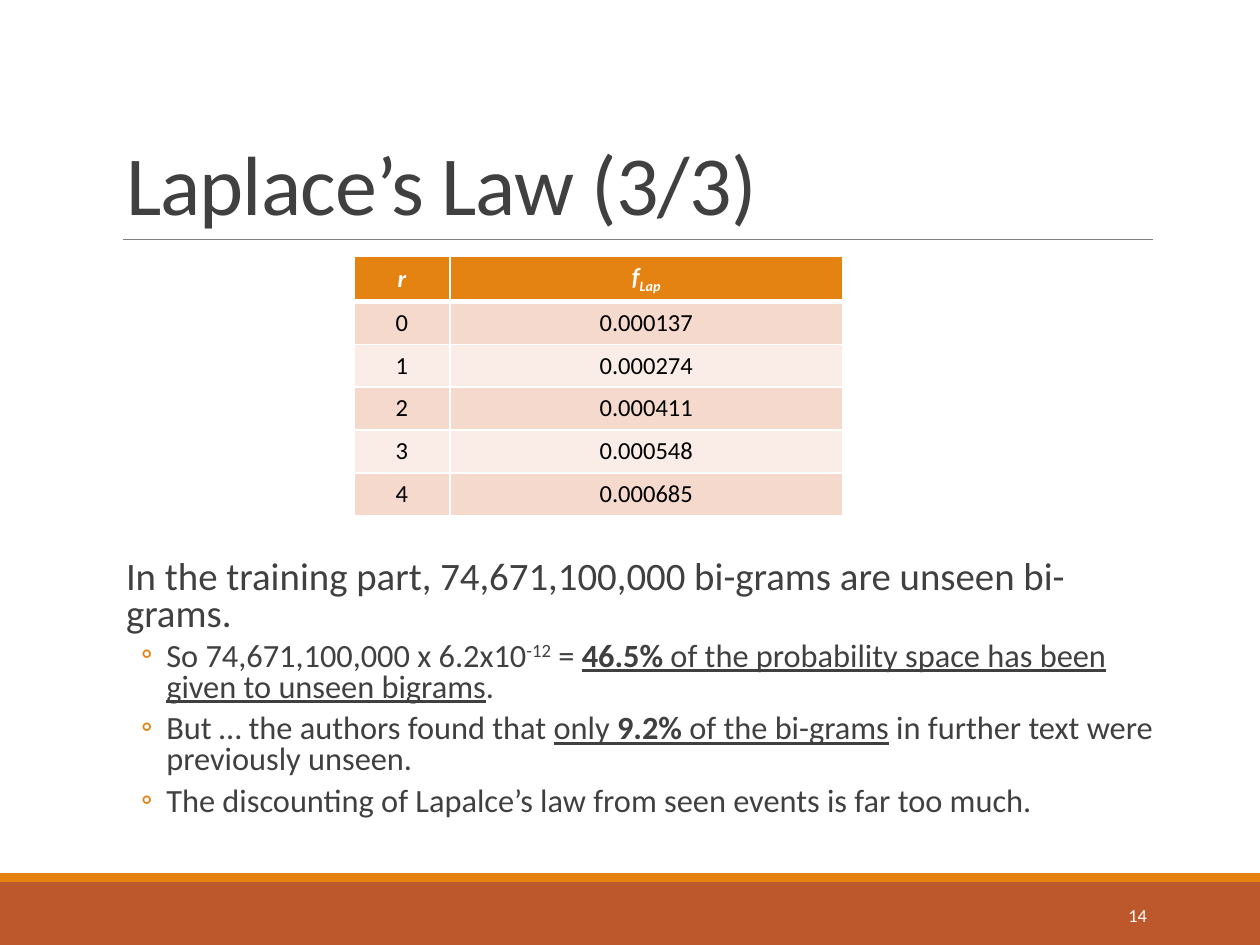
from lxml.etree import SubElement
from pptx import Presentation
from pptx.dml.color import RGBColor
from pptx.enum.shapes import MSO_CONNECTOR as Connector, MSO_SHAPE as Shape
from pptx.enum.text import MSO_ANCHOR as Anchor, MSO_AUTO_SIZE as AutoSize, PP_ALIGN as Align
from pptx.oxml.ns import qn
from pptx.util import Inches, Pt

WHITE, BLACK, GRAY, RULE = "FFFFFF", "000000", "404040", "808080"
ORANGE, RUST = "E48312", "BD582C"
BANDS = ("F5D9CC", "FAEDE7")

VALUES = ["0.000137", "0.000274", "0.000411", "0.000548", "0.000685"]
UNDERLINED = {"underline": True}
STRONG = {"underline": True, "bold": True}
LEAD = "In the training part, 74,671,100,000 bi-grams are unseen bi-grams."
BULLETS = [
    [("So 74,671,100,000 x 6.2x10", {}), ("-12", {"baseline": 30}), (" = ", {}),
     ("46.5%", STRONG),
     (" of the probability space has been given to unseen bigrams", UNDERLINED), (".", {})],
    [("But … the authors found that ", {}), ("only ", UNDERLINED), ("9.2%", STRONG),
     (" of the bi-grams", UNDERLINED), (" in further text were previously unseen.", {})],
    [("The discounting of Lapalce’s law from seen events is far too much.", {})],
]


def color(value):
    return RGBColor.from_string(value)


class SlideBuilder:
    def __init__(self, deck, font="Calibri"):
        self.font = font
        self.page = deck.slides.add_slide(deck.slide_layouts[5])

    def add_spans(self, para, spans, size, ink, **layout):
        """Fill a paragraph with (text, format) spans and set its layout values."""
        for name, value in layout.items():
            setattr(para, name, value)
        for text, style in spans:
            span = para.add_run()
            span.text = text
            style = {"name": self.font, "size": Pt(size), "bold": False, **style}
            baseline = style.pop("baseline", None)
            for name, value in style.items():
                setattr(span.font, name, value)
            span.font.color.rgb = color(ink)
            if baseline:
                span.font._element.set("baseline", str(baseline * 1000))

    def frame(self, box, anchor, side=0.1):
        frame = box.text_frame
        values = {"word_wrap": True, "auto_size": AutoSize.NONE, "vertical_anchor": anchor,
                  "margin_left": Inches(side), "margin_right": Inches(side),
                  "margin_top": Inches(0.05), "margin_bottom": Inches(0.05)}
        for name, value in values.items():
            setattr(frame, name, value)
        return frame

    def text_box(self, left, top, width, height, anchor=Anchor.TOP, side=0.1):
        box = self.page.shapes.add_textbox(*map(Inches, (left, top, width, height)))
        return self.frame(box, anchor, side)

    def title(self, text, left, top, width, height):
        box = self.page.shapes.title
        box.left, box.top, box.width, box.height = map(Inches, (left, top, width, height))
        para = self.frame(box, Anchor.BOTTOM).paragraphs[0]
        self.add_spans(para, [(text, {})], 48, GRAY, alignment=Align.LEFT, line_spacing=0.85)
        para.runs[0].font._element.set("spc", "-50")

    def bar(self, top, height, fill):
        bar = self.page.shapes.add_shape(
            Shape.RECTANGLE, *map(Inches, (0, top, 10, height)))
        bar.shadow.inherit = False
        bar.fill.solid()
        bar.fill.fore_color.rgb = color(fill)
        bar.line.fill.background()

    def rule(self, left, right, top):
        line = self.page.shapes.add_connector(
            Connector.STRAIGHT, *map(Inches, (left, top, right, top)))
        line.line.color.rgb = color(RULE)
        line.line.width = Pt(0.5)
        SubElement(line._element.spPr, qn("a:effectLst"))

    def indent(self, para, left, hanging=0, bullet=None):
        props = para._p.get_or_add_pPr()
        props.set("marL", str(Inches(left)))
        props.set("indent", str(-Inches(hanging)))
        if bullet:
            tint = SubElement(props, qn("a:buClr"))
            SubElement(tint, qn("a:srgbClr"), val=ORANGE)
            SubElement(props, qn("a:buFont"), typeface=self.font)
            SubElement(props, qn("a:buChar"), char=bullet)

    def cell(self, cell, spans, fill, ink, top=1, bottom=1):
        """Fill a table cell; top and bottom are border widths in points."""
        cell.vertical_anchor = Anchor.MIDDLE
        props = cell._tc.get_or_add_tcPr()
        for side, width in (("L", 1), ("R", 1), ("T", top), ("B", bottom)):
            border = SubElement(props, qn(f"a:ln{side}"), w=str(Pt(width)))
            solid = SubElement(border, qn("a:solidFill"))
            SubElement(solid, qn("a:srgbClr"), val=WHITE)
        cell.fill.solid()
        cell.fill.fore_color.rgb = color(fill)
        self.add_spans(cell.text_frame.paragraphs[0], spans, 14, ink, alignment=Align.CENTER)

    def table(self, left, top, widths, row_height, header, rows):
        height = row_height * (len(rows) + 1)
        table = self.page.shapes.add_table(
            len(rows) + 1, len(widths),
            *map(Inches, (left, top, sum(widths), height))).table
        for column, width in zip(table.columns, widths):
            column.width = Inches(width)
        for column, spans in enumerate(header):
            self.cell(table.cell(0, column), spans, ORANGE, WHITE, bottom=3)
        for number, row in enumerate(rows):
            for column, text in enumerate(row):
                self.cell(table.cell(number + 1, column), [(text, {})],
                          BANDS[number % 2], BLACK, top=1 if number else 3)


def main():
    deck = Presentation()
    deck.slide_width, deck.slide_height = Inches(10), Inches(7.5)
    slide = SlideBuilder(deck)

    slide.bar(7, 0.5, RUST)
    slide.bar(6.93, 0.07, ORANGE)
    slide.rule(0.98, 9.15, 1.9)
    slide.title("Laplace’s Law (3/3)", 0.9, 0.31, 8.25, 1.59)

    body = slide.text_box(0.9, 4.4, 8.25, 2.02, side=0)
    lead = body.paragraphs[0]
    slide.indent(lead, 0.1)
    slide.add_spans(lead, [(LEAD, {})], 22.2, GRAY, line_spacing=0.8,
                    space_before=Pt(0), space_after=Pt(2))
    for spans in BULLETS:
        para = body.add_paragraph()
        slide.indent(para, 0.42, 0.2, "◦")
        slide.add_spans(para, spans, 18.5, GRAY, level=1, line_spacing=0.8,
                        space_before=Pt(2), space_after=Pt(4))

    number = slide.text_box(8.12, 7.06, 1.08, 0.4, Anchor.MIDDLE)
    slide.add_spans(number.paragraphs[0], [("14", {})], 10.5, WHITE, alignment=Align.RIGHT)

    heading = {"bold": True, "italic": True}
    slide.table(2.81, 2.03, (0.76, 3.12), 0.34,
                [[("r", heading)], [("f", heading), ("Lap", {**heading, "baseline": -25})]],
                [(str(count), value) for count, value in enumerate(VALUES)])
    deck.save("out.pptx")


if __name__ == "__main__":
    main()
